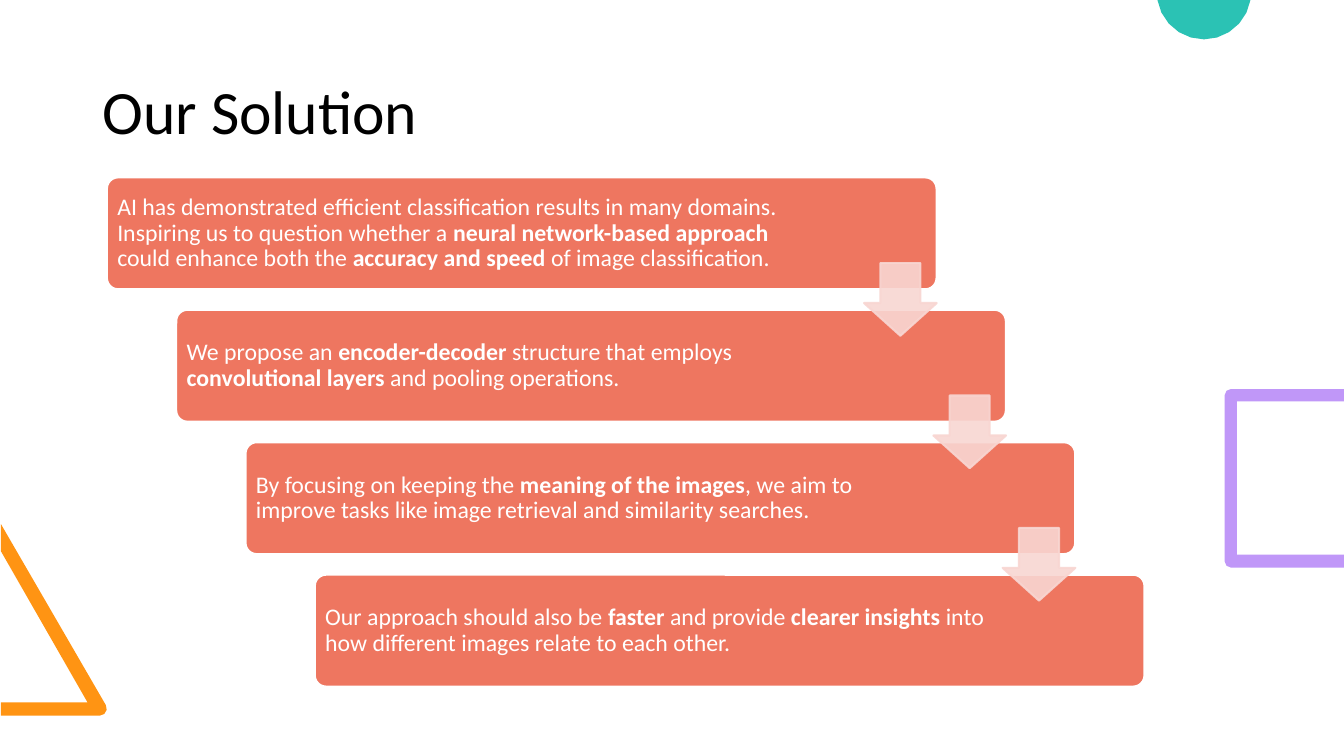
from math import cos, radians, sin

from lxml.etree import SubElement
from pptx import Presentation
from pptx.dml.color import RGBColor
from pptx.enum.shapes import MSO_SHAPE as Preset
from pptx.enum.text import MSO_ANCHOR as Anchor
from pptx.oxml.ns import qn
from pptx.util import Pt

presentation = Presentation()
presentation.slide_width, presentation.slide_height = Pt(960), Pt(540)
slide = presentation.slides.add_slide(presentation.slide_layouts[6])


def paint(shape, fill, line=None, alpha=None):
    """Set fill and outline from hex strings; alpha is opacity in percent."""
    shape.shadow.inherit = False
    shape.fill.solid()
    shape.fill.fore_color.rgb = RGBColor.from_string(fill)
    if line is None:
        shape.line.fill.background()
    else:
        shape.line.color.rgb = RGBColor.from_string(line)
        shape.line.width = Pt(1.5)
    if alpha:
        for color in shape._element.spPr.iter(qn("a:srgbClr")):
            SubElement(color, qn("a:alpha"), val=str(alpha * 1000))


def add_text(text, left, top, width, height, *, size, color, inset):
    """Add a text box; every second part between ** marks is bold."""
    box = slide.shapes.add_textbox(Pt(left), Pt(top), Pt(width), Pt(height))
    frame = box.text_frame
    frame.word_wrap = True
    frame.vertical_anchor = Anchor.MIDDLE
    frame.margin_left = frame.margin_right = Pt(inset[0])
    frame.margin_top = frame.margin_bottom = Pt(inset[1])
    paragraph = frame.paragraphs[0]
    paragraph.line_spacing = 0.9
    for index, part in enumerate(text.split("**")):
        run = paragraph.add_run()
        run.text = part
        run.font.name = "Calibri"
        run.font.size = Pt(size)
        run.font.bold = index % 2 == 1
        run.font.color.rgb = RGBColor.from_string(color)


# Decorations at the slide edges: corners, with arcs as
# (center x, center y, radius, start angle, end angle, steps)
decorations = [
    ("FF9413", [(0.7, 511.2), (0.7, 501.8), (62.6, 501.8), (0.7, 393.8),
                (0.7, 374.4), (71.3, 506.2, 5, -30, 90, 3)]),
    ("2BC2B4", [(860, -5.6, 33.7, 9.6, 170.4, 10)]),
    ("C097F8", [(960, 405.4), (960, 396.2), (883.6, 396.2), (883.6, 286.8),
                (960, 286.8), (960, 277.9), (879.2, 282.3, 4.4, 270, 180, 2),
                (879.2, 401, 4.4, 180, 90, 2)]),
]
for color, outline in decorations:
    points = []
    for item in outline:
        if len(item) == 2:
            points.append(item)
            continue
        center_x, center_y, radius, start, end, steps = item
        for step in range(steps + 1):
            angle = radians(start + (end - start) * step / steps)
            points.append((center_x + radius * cos(angle),
                           center_y + radius * sin(angle)))
    points = [(Pt(x), Pt(y)) for x, y in points]
    builder = slide.shapes.build_freeform(*points[0])
    builder.add_line_segments(points[1:], close=True)
    paint(builder.convert_to_shape(), color)

# Title
add_text("Our Solution", 66.2, 23.8, 828, 115.9,
         size=44, color="000000", inset=(7.2, 3.6))

# Staircase of statements
STEP_X, STEP_Y = 49.5, 94.6
statements = [
    ("AI has demonstrated efficient classification results in many domains. "
     "Inspiring us to question whether a **neural network-based approach** "
     "could enhance both the **accuracy and speed **of image classification.",
     499.7),
    ("We propose an **encoder-decoder** structure that employs "
     "**convolutional layers **and pooling operations.", 487),
    ("By focusing on keeping the **meaning of the images**, we aim to improve "
     "tasks like image retrieval and similarity searches.", 487),
    ("Our approach should also be **faster** and provide **clearer insights **"
     "into how different images relate to each other.", 487),
]
for index, (text, text_width) in enumerate(statements):
    left, top = 76.4 + index * STEP_X, 126.7 + index * STEP_Y
    card = slide.shapes.add_shape(Preset.ROUNDED_RECTANGLE, Pt(left), Pt(top),
                                  Pt(592.6), Pt(79.9))
    card.adjustments[0] = 0.1
    paint(card, "EE7660", "FFFFFF")
    add_text(text, left + 2.4, top + 2.4, text_width, 75.2,
             size=17, color="FFFFFF", inset=(5, 5))

# Arrows from each statement to the next
for index in range(len(statements) - 1):
    arrow = slide.shapes.add_shape(
        Preset.DOWN_ARROW, Pt(617.2 + index * STEP_X),
        Pt(187.9 + index * STEP_Y), Pt(51.9), Pt(51.9))
    arrow.adjustments[0], arrow.adjustments[1] = 0.55, 0.45
    paint(arrow, "F8D6D2", "F8D6D2", alpha=90)

presentation.save("out.pptx")
